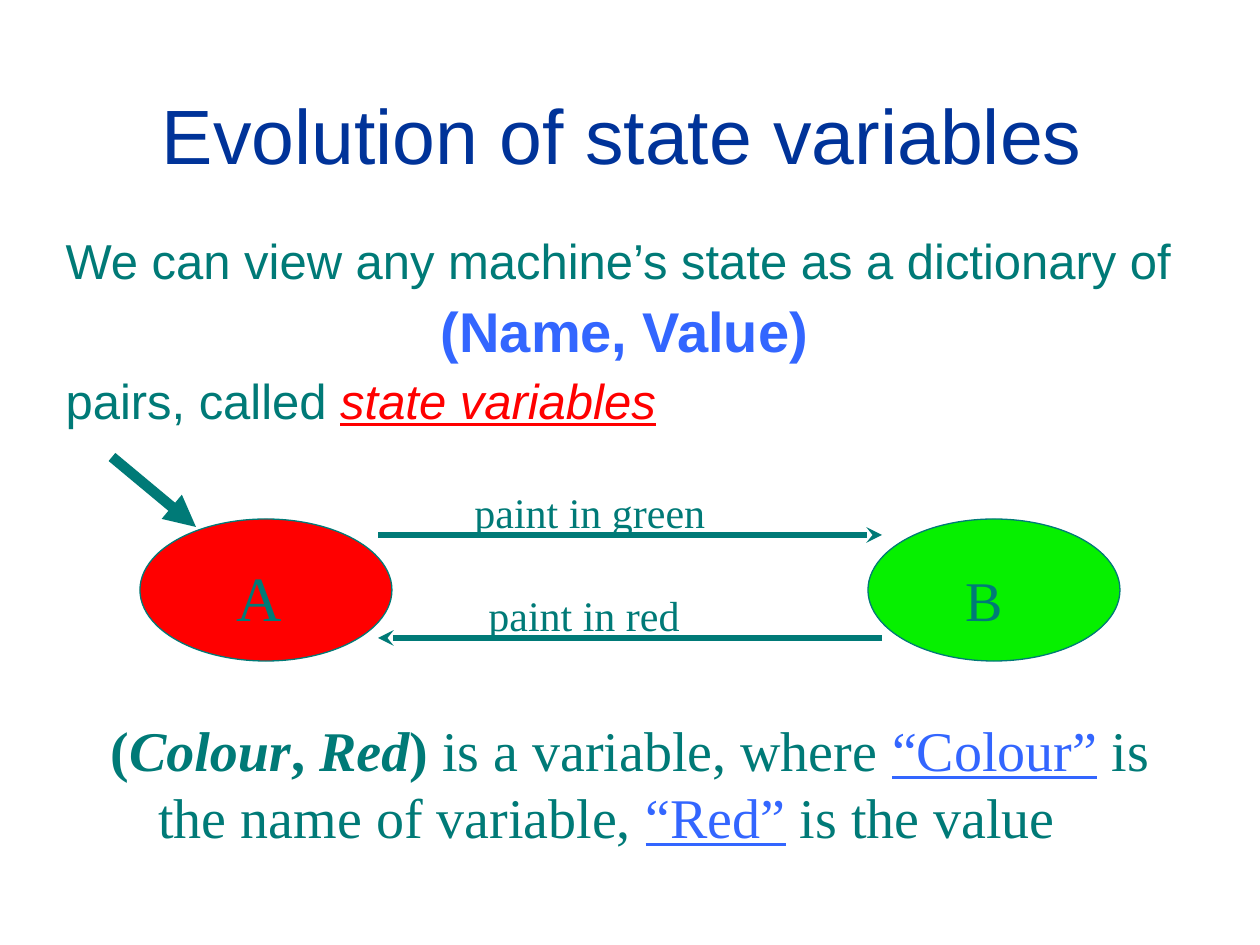
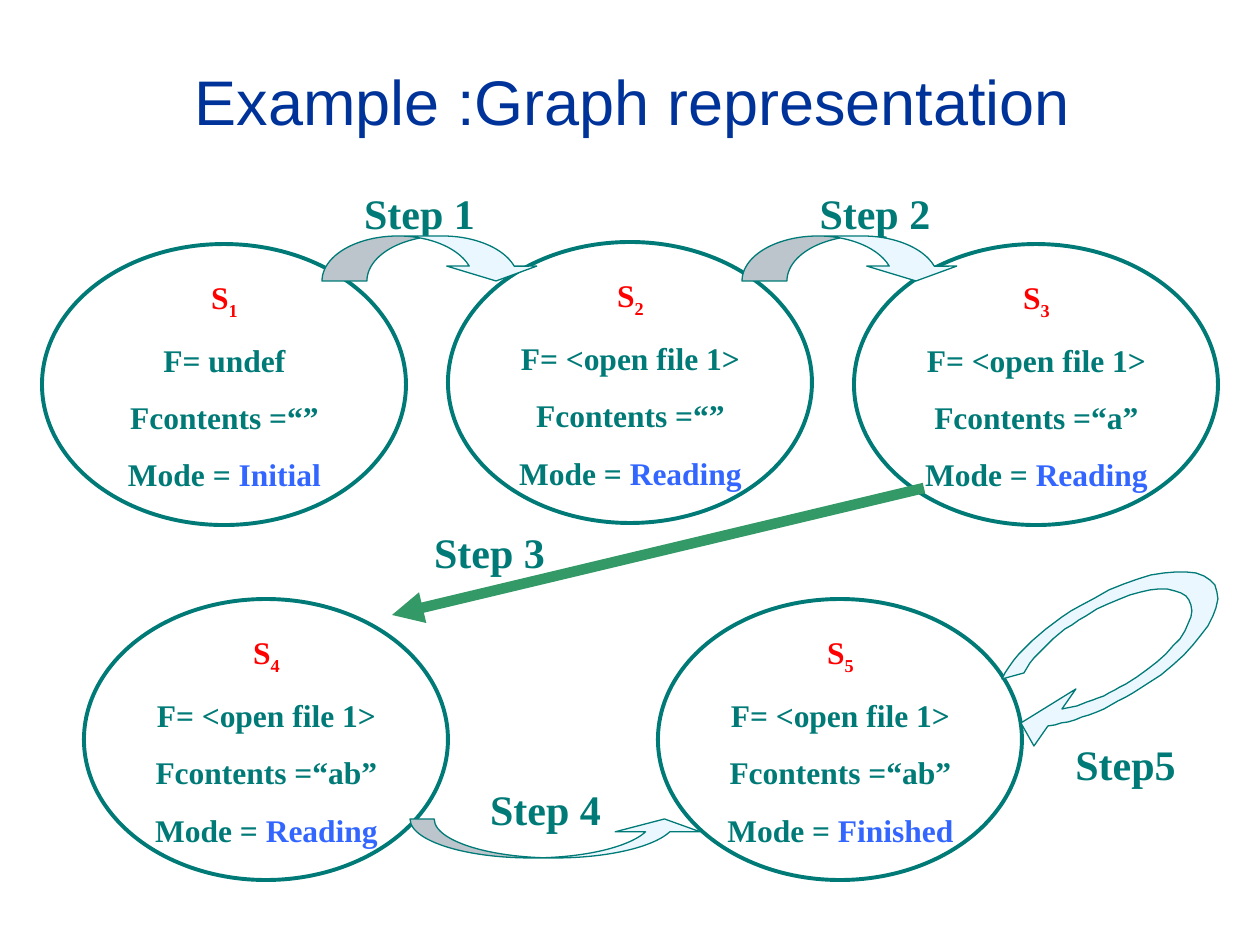
from lxml.etree import SubElement
from pptx import Presentation
from pptx.dml.color import RGBColor
from pptx.enum.shapes import MSO_CONNECTOR, MSO_SHAPE
from pptx.enum.text import MSO_ANCHOR, MSO_AUTO_SIZE, PP_ALIGN
from pptx.oxml.ns import qn
from pptx.util import Emu, Pt

PX = 914400 / 126
SANS, SERIF = "Arial", "Times New Roman"
COLORS = {"title": "003399", "teal": "007A77", "blue": "3366FF", "red": "FF0000",
          "lime": "06F000", "green": "339966", "ice": "EBF7FF"}
LAYOUT_BODY, LAYOUT_TITLE = 1, 5
HANGING = 48

# A paragraph is a list of runs: (text, format that differs from the rest)
EVOLUTION = {
    "title": ("Evolution of state variables", (34, 55, 1177, 158), 44),
    "body_box": (53, 231, 1159, 215),
    "body": [
        ([("We can view any machine’s state as a dictionary of", {})], {}),
        ([("(Name, Value) ", {"size": 32, "color": "blue", "bold": True})],
         {"align": PP_ALIGN.CENTER, "before": 8}),
        ([("pairs, called ", {}),
          ("state variables", {"color": "red", "italic": True, "underline": True})],
         {"before": 7}),
    ],
    "nodes": [((140, 519, 252, 142), "red"), ((868, 519, 252, 142), "lime")],
    "labels": [("paint in green", (462, 480, 420, 63), 24),
               ("paint in red", (476, 583, 420, 63), 24),
               ("A", (224, 552, 126, 88), 36),
               ("B", (953, 559, 126, 81), 32)],
    "arrows": [((378, 535), (882, 535), 3, "stealth"),
               ((882, 638), (378, 638), 3, "stealth"),
               ((112, 457), (196, 527), 6, "triangle")],
    "example_box": (98, 709, 1071, 204),
    "example": [
        ("(", {"bold": True}),
        ("Colour", {"bold": True, "italic": True}),
        (", ", {"bold": True}),
        ("Red", {"bold": True, "italic": True}),
        (")", {"bold": True}),
        (" is a variable, where ", {}),
        ("“Colour”", {"color": "blue", "underline": True}),
        (" is the name of variable, ", {}),
        ("“Red”", {"color": "blue", "underline": True}),
        (" is the value", {}),
    ],
}

GRAPH = {
    "title": ("Example :Graph representation", (44, 26, 1177, 149), 36),
    "state_size": (364, 281),
    # left, top, F, Fcontents, Mode
    "states": [(42, 244, "undef", "“”", "Initial"),
               (448, 242, "<open file 1>", "“”", "Reading"),
               (854, 244, "<open file 1>", "“a”", "Reading"),
               (84, 599, "<open file 1>", "“ab”", "Reading"),
               (658, 599, "<open file 1>", "“ab”", "Finished")],
    "steps": [("Step 1", (266, 181, 307, 63), PP_ALIGN.CENTER),
              ("Step 2", (630, 181, 490, 63), PP_ALIGN.CENTER),
              ("Step 3", (336, 520, 307, 63), PP_ALIGN.CENTER),
              ("Step 4", (392, 777, 307, 63), PP_ALIGN.CENTER),
              ("Step5", (1063, 732, 197, 63), PP_ALIGN.LEFT)],
    # preset, box, tail width, head width and head length as shares of the height
    "curved": [(MSO_SHAPE.CURVED_DOWN_ARROW, (322, 236, 219, 45), (1, 2, 0.33)),
               (MSO_SHAPE.CURVED_DOWN_ARROW, (742, 236, 219, 45), (1, 2, 0.33)),
               (MSO_SHAPE.CURVED_UP_ARROW, (410, 819, 297, 39), (0.62, 2.18, 0.33))],
    "step_3": ((924, 488), (392, 615), 6, "triangle"),
    # loop outline: one point is a corner, three points are a cubic curve
    "loop": [[(1062, 709)],
             [(1081, 706), (1104, 697), (1126, 684)],
             [(1173, 656), (1201, 619), (1189, 600)],
             [(1178, 581), (1131, 588), (1086, 616)],
             [(1057, 633), (1034, 654), (1024, 673)],
             [(1002, 679)],
             [(1014, 655), (1043, 627), (1080, 606)],
             [(1139, 570), (1200, 561), (1215, 585)],
             [(1229, 610), (1192, 658), (1133, 693)],
             [(1104, 711), (1074, 722), (1048, 726)],
             [(1034, 746)], [(1021, 723)], [(1076, 689)]],
}


def emu(*lengths):
    return [Emu(round(length * PX)) for length in lengths]


def rgb(name):
    return RGBColor.from_string(COLORS[name])


def write(paragraph, text, font=SANS, size=28, color="teal", bold=False,
          italic=False, underline=False, baseline=0):
    run = paragraph.add_run()
    run.text = text
    style = run.font
    style.name, style.size = font, Pt(size)
    style.bold, style.italic, style.underline = bold, italic, underline
    style.color.rgb = rgb(color)
    if baseline:
        run._r.get_or_add_rPr().set("baseline", str(baseline * 1000))


def fill_frame(frame, paragraphs, **shared):
    """Write (runs, layout) paragraphs; shared is the format all runs start from."""
    frame.word_wrap = True
    frame.auto_size = MSO_AUTO_SIZE.NONE
    for index, (runs, layout) in enumerate(paragraphs):
        paragraph = frame.paragraphs[0] if index == 0 else frame.add_paragraph()
        properties = paragraph._p.get_or_add_pPr()
        hanging = emu(layout.get("hanging", 0))[0]
        properties.set("marL", str(hanging))
        properties.set("indent", str(-hanging))
        SubElement(properties, qn("a:buNone"))
        paragraph.alignment = layout.get("align", PP_ALIGN.LEFT)
        paragraph.line_spacing = layout.get("spacing", 1.0)
        paragraph.space_before = Pt(layout.get("before", 0))
        for text, changes in runs:
            write(paragraph, text, **{**shared, **changes})


def place(shape, box):
    shape.left, shape.top, shape.width, shape.height = emu(*box)


def add_titled_slide(deck, layout, title):
    text, box, size = title
    slide = deck.slides.add_slide(deck.slide_layouts[layout])
    heading = slide.shapes.title
    place(heading, box)
    heading.text_frame.vertical_anchor = MSO_ANCHOR.MIDDLE
    fill_frame(heading.text_frame, [([(text, {})], {"align": PP_ALIGN.CENTER})],
               size=size, color="title")
    return slide


def add_text(slide, box, paragraphs, **shared):
    frame = slide.shapes.add_textbox(*emu(*box)).text_frame
    fill_frame(frame, paragraphs, font=SERIF, **shared)


def paint(shape, fill=None, width=0.75):
    shape.shadow.inherit = False
    if fill:
        shape.fill.solid()
        shape.fill.fore_color.rgb = rgb(fill)
    else:
        shape.fill.background()
    shape.line.color.rgb = rgb("teal")
    shape.line.width = Pt(width)


def add_arrow(slide, start, end, width, head, color="teal"):
    arrow = slide.shapes.add_connector(MSO_CONNECTOR.STRAIGHT, *emu(*start, *end))
    arrow.line.color.rgb = rgb(color)
    arrow.line.width = Pt(width)
    SubElement(arrow.line._get_or_add_ln(), qn("a:tailEnd"), type=head)
    SubElement(arrow._element.spPr, qn("a:effectLst"))


def trace(outline, steps=12):
    """Turn corners and cubic curves into a list of points."""
    points = []
    for segment in outline:
        if len(segment) == 1:
            points += segment
            continue
        corners = [points[-1], *segment]
        for step in range(1, steps + 1):
            t = step / steps
            weights = ((1 - t) ** 3, 3 * t * (1 - t) ** 2, 3 * t * t * (1 - t), t ** 3)
            points.append(tuple(sum(w * corner[axis] for w, corner in zip(weights, corners))
                                for axis in (0, 1)))
    return points


def add_state(slide, number, left, top, file, contents, mode):
    width, height = GRAPH["state_size"]
    paint(slide.shapes.add_shape(MSO_SHAPE.OVAL, *emu(left, top, width, height)), width=2.25)
    lines = [
        [("S", {"color": "red"}), (str(number), {"color": "red", "baseline": -25})],
        [(f"F= {file}", {})],
        [(f"Fcontents ={contents}", {})],
        [("Mode = ", {}), (mode, {"color": "blue"})],
    ]
    paragraphs = [(runs, {"align": PP_ALIGN.CENTER, "before": 11.2 if row else 0})
                  for row, runs in enumerate(lines)]
    add_text(slide, (left + 12, top + 28, 341, 228), paragraphs, size=18, bold=True)


def build_evolution(deck):
    slide = add_titled_slide(deck, LAYOUT_BODY, EVOLUTION["title"])
    body = slide.placeholders[1]
    place(body, EVOLUTION["body_box"])
    fill_frame(body.text_frame, [(runs, {"hanging": HANGING, "spacing": 0.9, **layout})
                                 for runs, layout in EVOLUTION["body"]])
    for box, fill in EVOLUTION["nodes"]:
        paint(slide.shapes.add_shape(MSO_SHAPE.OVAL, *emu(*box)), fill)
    for arrow in EVOLUTION["arrows"]:
        add_arrow(slide, *arrow)
    for text, box, size in EVOLUTION["labels"]:
        add_text(slide, box, [([(text, {})], {})], size=size)
    add_text(slide, EVOLUTION["example_box"],
             [(EVOLUTION["example"], {"hanging": HANGING})], size=32)


def build_graph(deck):
    slide = add_titled_slide(deck, LAYOUT_TITLE, GRAPH["title"])
    for number, state in enumerate(GRAPH["states"], 1):
        add_state(slide, number, *state)
    for text, box, align in GRAPH["steps"]:
        add_text(slide, box, [([(text, {})], {"align": align})], size=24, bold=True)
    for preset, box, shares in GRAPH["curved"]:
        curved = slide.shapes.add_shape(preset, *emu(*box))
        for index, share in enumerate(shares):
            curved.adjustments[index] = share
        paint(curved, "ice")
    start, *rest = trace(GRAPH["loop"])
    builder = slide.shapes.build_freeform(*start, scale=PX)
    builder.add_line_segments(rest, close=True)
    paint(builder.convert_to_shape(), "ice")
    add_arrow(slide, *GRAPH["step_3"], color="green")


def main():
    deck = Presentation()
    deck.slide_width, deck.slide_height = emu(1260, 945)
    build_evolution(deck)
    build_graph(deck)
    deck.save("out.pptx")


if __name__ == "__main__":
    main()
